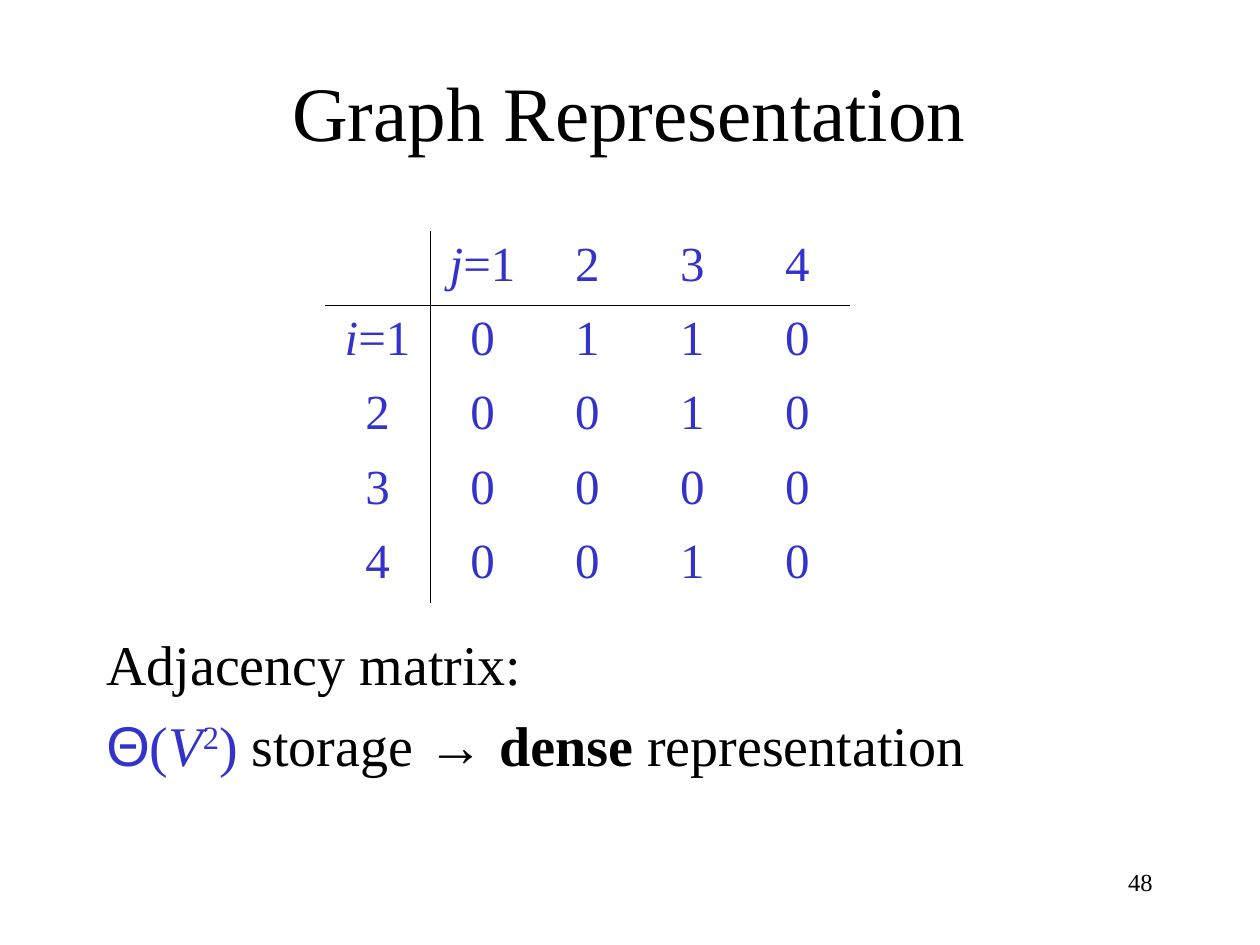
from lxml.etree import SubElement
from pptx import Presentation
from pptx.dml.color import RGBColor
from pptx.enum.text import MSO_ANCHOR, PP_ALIGN
from pptx.oxml.ns import qn
from pptx.util import Pt

PX = 914400 / 126
BLACK = RGBColor(0x00, 0x00, 0x00)
BLUE = RGBColor(0x33, 0x33, 0xCC)
SERIF, SANS = "Times New Roman", "Arial"
RULE_WIDTH = Pt(0.45)
MATRIX = [
    [0, 1, 1, 0],
    [0, 0, 1, 0],
    [0, 0, 0, 0],
    [0, 0, 1, 0],
]


def px(length):
    return round(length * PX)


def add_run(paragraph, text, size, color=BLACK, font=SERIF, bold=False, italic=False):
    run = paragraph.add_run()
    run.text = text
    run.font.name = font
    run.font.size = Pt(size)
    run.font.bold = bold
    run.font.italic = italic
    run.font.color.rgb = color
    return run


def add_text_frame(slide, box, anchor=MSO_ANCHOR.TOP):
    frame = slide.shapes.add_textbox(*map(px, box)).text_frame
    frame.word_wrap = True
    frame.vertical_anchor = anchor
    return frame


def add_title(slide, box):
    heading = add_text_frame(slide, box, MSO_ANCHOR.MIDDLE).paragraphs[0]
    heading.alignment = PP_ALIGN.CENTER
    add_run(heading, "Graph Representation", 44)


def set_borders(cell, ruled_sides):
    """Rule the given sides (of L, R, T, B) and leave the others bare."""
    properties = cell._tc.get_or_add_tcPr()
    for side in "LRTB":
        border = SubElement(properties, qn(f"a:ln{side}"), w=str(RULE_WIDTH))
        if side in ruled_sides:
            color = SubElement(SubElement(border, qn("a:solidFill")), qn("a:srgbClr"))
            color.set("val", str(BLACK))
        else:
            SubElement(border, qn("a:noFill"))


def add_matrix(slide, box):
    """Place the adjacency matrix with a header row for j and a header column for i."""
    size = len(MATRIX) + 1
    left, top, width, height = map(px, box)
    table = slide.shapes.add_table(size, size, left, top, width, height).table
    table.first_row = table.horz_banding = False

    for row in range(size):
        for column in range(size):
            cell = table.cell(row, column)
            ruled = {0: "B", 1: "T"}.get(row, "") + {0: "R", 1: "L"}.get(column, "")
            set_borders(cell, ruled)
            cell.fill.background()
            if row == column == 0:
                continue
            entry = cell.text_frame.paragraphs[0]
            entry.alignment = PP_ALIGN.CENTER
            if row and column:
                add_run(entry, str(MATRIX[row - 1][column - 1]), 28, BLUE)
            elif row + column == 1:
                add_run(entry, "i" if row else "j", 28, BLUE, italic=True)
                add_run(entry, "=1", 28, BLUE)
            else:
                add_run(entry, str(row + column), 28, BLUE)


def add_storage_note(slide, box):
    frame = add_text_frame(slide, box)
    add_run(frame.paragraphs[0], "Adjacency matrix:", 32)

    storage = frame.add_paragraph()
    storage.space_before = Pt(8)
    add_run(storage, "Θ", 32, BLUE, SANS)
    add_run(storage, "(", 32, BLUE)
    add_run(storage, "V", 32, BLUE, italic=True)
    exponent = add_run(storage, "2", 32, BLUE)
    exponent.font._element.set("baseline", "30000")
    add_run(storage, ")", 32, BLUE)
    add_run(storage, " storage ", 32)
    add_run(storage, "→ ", 32, font=SANS)
    add_run(storage, "dense", 32, bold=True)
    add_run(storage, " representation", 32)


def add_page_number(slide, box):
    number = add_text_frame(slide, box).paragraphs[0]
    number.alignment = PP_ALIGN.RIGHT
    add_run(number, "48", 14)


def main():
    presentation = Presentation()
    presentation.slide_width, presentation.slide_height = px(1260), px(945)
    slide = presentation.slides.add_slide(presentation.slide_layouts[6])
    add_page_number(slide, (903, 861, 262, 63))
    add_title(slide, (94, 32, 1071, 158))
    add_storage_note(slide, (94, 623, 1071, 217))
    add_matrix(slide, (325, 231, 525, 372))
    presentation.save("out.pptx")


if __name__ == "__main__":
    main()
